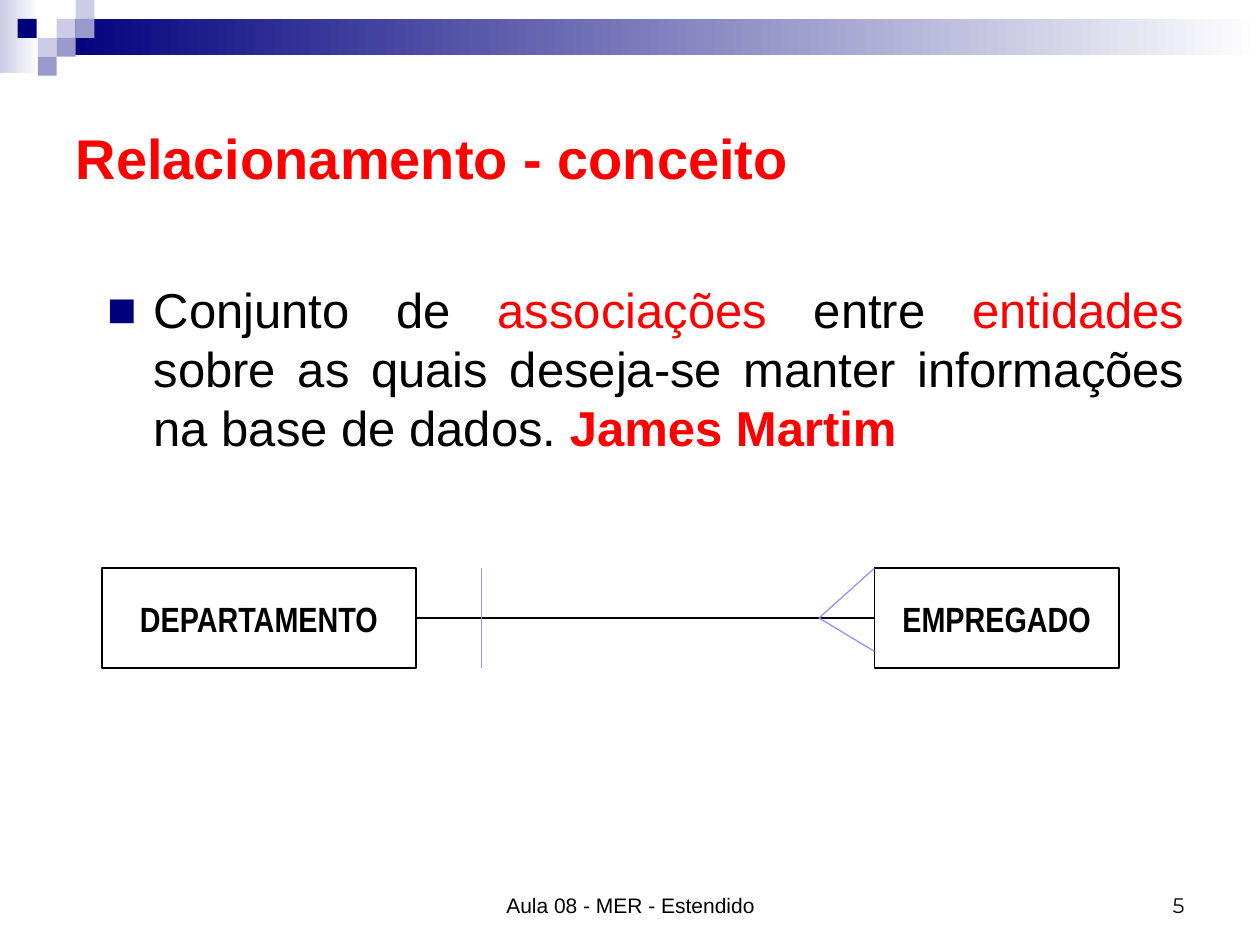
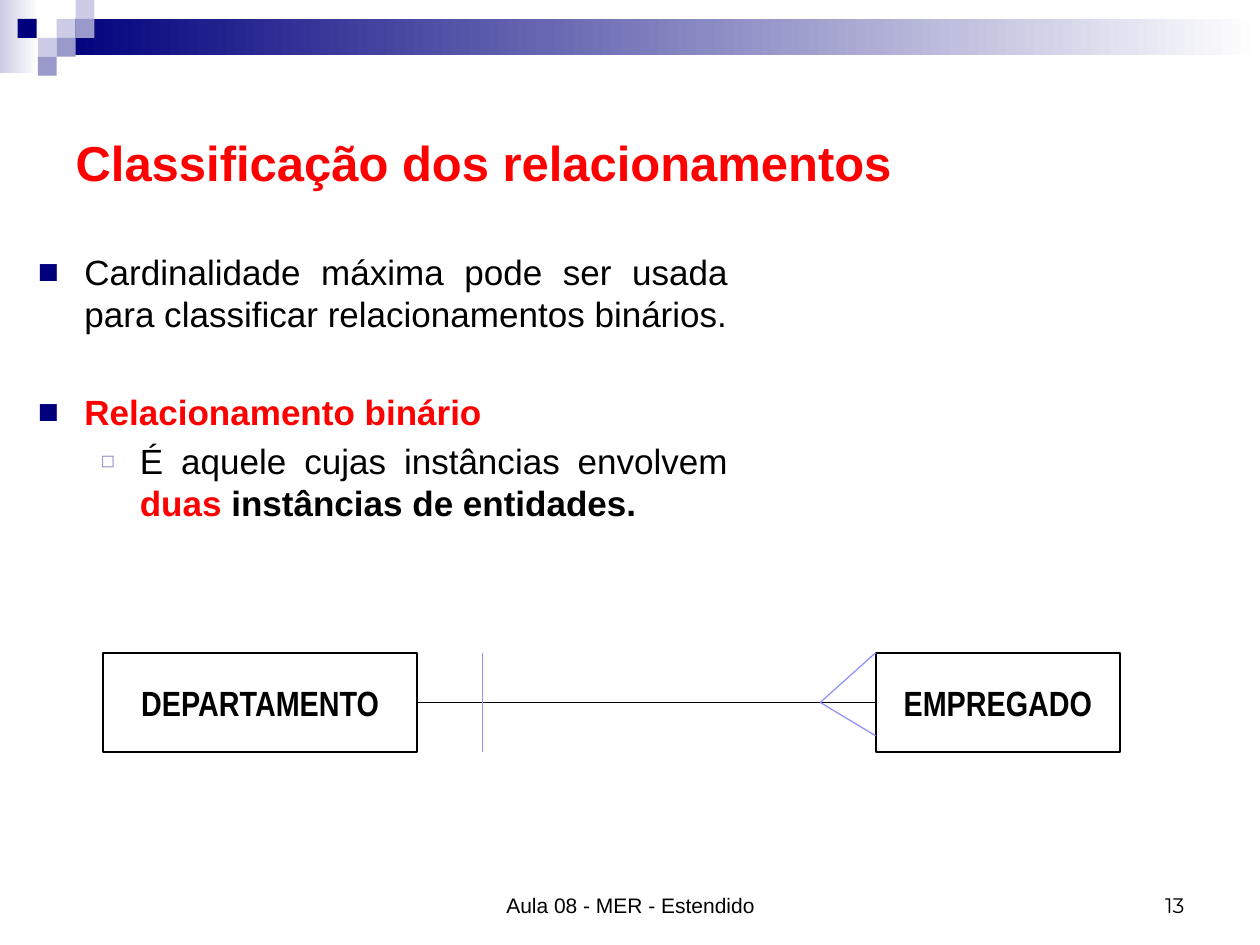
from lxml import etree
from pptx import Presentation
from pptx.dml.color import RGBColor
from pptx.enum.shapes import MSO_CONNECTOR, MSO_SHAPE
from pptx.enum.text import MSO_ANCHOR, MSO_AUTO_SIZE, PP_ALIGN
from pptx.oxml.ns import qn
from pptx.util import Inches, Pt

RECTANGLE = MSO_SHAPE.RECTANGLE
STRAIGHT = MSO_CONNECTOR.STRAIGHT
LEFT, CENTER, RIGHT, JUSTIFY = PP_ALIGN.LEFT, PP_ALIGN.CENTER, PP_ALIGN.RIGHT, PP_ALIGN.JUSTIFY
TOP, MIDDLE, BOTTOM = MSO_ANCHOR.TOP, MSO_ANCHOR.MIDDLE, MSO_ANCHOR.BOTTOM
NO_AUTO_SIZE = MSO_AUTO_SIZE.NONE

COLORS = {
    "navy": "00007D", "lavender": "9999CC", "pale": "CCCCE6", "white": "FFFFFF",
    "red": "FF0000", "black": "000000", "violet": "9393FC",
}
BULLETS = [
    {"char": "■", "color": "navy", "margin": 0.37, "indent": -0.37, "percent": 100},
    {"char": "◻", "color": "lavender", "margin": 0.81, "indent": -0.31, "percent": 65},
]
TILE = 0.15
TILES = [
    (0.45, 0.15, "pale"), (0.6, 0, "pale"), (0.6, 0.15, "lavender"),
    (0.3, 0.3, "pale"), (0.14, 0.15, "navy"), (0.45, 0.3, "lavender"),
    (0.3, 0.45, "lavender"),
]
BANDS = [((0, 0, 0.31, 0.58), "pale"), ((0.45, 0.15, 9.55, 0.29), "navy")]


def rgb(name):
    return RGBColor.from_string(COLORS[name])


def set_attributes(target, values):
    for name, value in values.items():
        setattr(target, name, value)


def place(shape, box):
    names = ("left", "top", "width", "height")
    set_attributes(shape, {name: Inches(value) for name, value in zip(names, box)})


def add_rectangle(shapes, box):
    shape = shapes.add_shape(RECTANGLE, *[Inches(value) for value in box])
    shape.shadow.inherit = False
    return shape


def add_run(paragraph, text, size, color="black", bold=False, font="Arial"):
    run = paragraph.add_run()
    run.text = text
    set_attributes(run.font, {"name": font, "size": Pt(size), "bold": bold})
    run.font.color.rgb = rgb(color)


def format_frame(shape, anchor):
    set_attributes(shape.text_frame, {
        "word_wrap": True, "auto_size": NO_AUTO_SIZE, "vertical_anchor": anchor,
        "margin_left": Inches(0.1), "margin_right": Inches(0.1),
        "margin_top": Inches(0.05), "margin_bottom": Inches(0.05),
    })
    return shape.text_frame


def write_line(shape, text, size, align, anchor, **style):
    paragraph = format_frame(shape, anchor).paragraphs[0]
    paragraph.alignment = align
    add_run(paragraph, text, size, **style)


def add_bullet(paragraph, level):
    bullet = BULLETS[level]
    properties = paragraph._p.get_or_add_pPr()
    properties.set("marL", str(Inches(bullet["margin"])))
    properties.set("indent", str(Inches(bullet["indent"])))
    color = etree.SubElement(properties, qn("a:buClr"))
    etree.SubElement(color, qn("a:srgbClr"), val=COLORS[bullet["color"]])
    etree.SubElement(properties, qn("a:buSzPct"), val=str(bullet["percent"] * 1000))
    etree.SubElement(properties, qn("a:buFont"), typeface="Arial")
    etree.SubElement(properties, qn("a:buChar"), char=bullet["char"])


def move_header_to_layout(slide, layout):
    group = slide.shapes.add_group_shape()
    for box, color in BANDS:
        band = add_rectangle(group.shapes, box)
        band.line.fill.background()
        band.fill.gradient()
        band.fill.gradient_angle = 0
        for stop, name, position in zip(band.fill.gradient_stops, (color, "white"), (0, 1)):
            stop.color.rgb = rgb(name)
            stop.position = position
    for left, top, color in TILES:
        tile = add_rectangle(group.shapes, (left, top, TILE, TILE))
        tile.line.fill.background()
        tile.fill.solid()
        tile.fill.fore_color.rgb = rgb(color)
    layout.shapes.element.insert(2, group._element)


def fill_title(slide, box, text, size):
    title = slide.shapes.title
    place(title, box)
    write_line(title, text, size, LEFT, MIDDLE, color="red", bold=True)


def fill_body(slide, box, size, items):
    body = slide.placeholders[1]
    place(body, box)
    frame = format_frame(body, TOP)
    for index, (level, space, runs) in enumerate(items):
        paragraph = frame.add_paragraph() if index else frame.paragraphs[0]
        set_attributes(paragraph, {
            "level": level, "alignment": JUSTIFY, "line_spacing": 1.0,
            "space_before": Pt(space), "space_after": Pt(0),
        })
        add_bullet(paragraph, level)
        for text, *style in runs:
            add_run(paragraph, text, size, *style)


def add_footer(slide, number):
    entries = [
        ((7.17, 6.83, 2.33, 0.5), number, RIGHT, "Montserrat"),
        ((3.42, 6.83, 3.17, 0.5), "Aula 08 - MER - Estendido", CENTER, "Arial"),
    ]
    for box, text, align, font in entries:
        shape = slide.shapes.add_textbox(*[Inches(value) for value in box])
        write_line(shape, text, 12, align, BOTTOM, font=font)


def add_line(slide, start, end, color, width):
    line = slide.shapes.add_connector(STRAIGHT, *[Inches(value) for value in (*start, *end)])
    line.line.color.rgb = rgb(color)
    line.line.width = Pt(width)
    etree.SubElement(line._element.spPr, qn("a:effectLst"))


def add_relationship(slide, box):
    left, top, width, height = box
    department_width, employee_width = 2.49, 1.94
    employee_left = left + width - employee_width
    middle = top + height / 2
    entities = [
        (left, department_width, "DEPARTAMENTO"),
        (employee_left, employee_width, "EMPREGADO"),
    ]
    for entity_left, entity_width, name in entities:
        entity = add_rectangle(slide.shapes, (entity_left, top, entity_width, height))
        entity.fill.background()
        entity.line.color.rgb = rgb("black")
        entity.line.width = Pt(1)
        write_line(entity, name, 20, CENTER, MIDDLE, bold=True, font="Arial Narrow")
        entity.text_frame.paragraphs[0].line_spacing = 1.01
    add_line(slide, (left + department_width, middle), (employee_left, middle), "black", 1)
    bar = left + 3.01
    add_line(slide, (bar, top), (bar, top + height), "violet", 0.75)
    for end in (top, top + 0.66):
        add_line(slide, (employee_left - 0.44, middle), (employee_left, end), "violet", 0.75)


def build_slide(presentation, content):
    slide = presentation.slides.add_slide(presentation.slide_layouts[1])
    fill_title(slide, *content["title"])
    fill_body(slide, *content["body"])
    add_relationship(slide, content["diagram"])
    add_footer(slide, content["number"])
    return slide


CONCEPT = {
    "title": ((0.5, 0.5, 9, 1.5), "Relacionamento - conceito", 32),
    "body": ((0.75, 2.17, 8.75, 1.74), 28, [
        (0, 0, [
            ("Conjunto de ",), ("associações", "red"), (" entre ",), ("entidades", "red"),
            (" sobre as quais deseja-se manter informações na base de dados. ",),
            ("James Martim", "red", True),
        ]),
    ]),
    "diagram": (0.81, 4.51, 8.07, 0.79),
    "number": "5",
}
CLASSIFICATION = {
    "title": ((0.5, 0.87, 7.18, 0.83), "Classificação dos relacionamentos", 28),
    "body": ((0.2, 1.94, 5.68, 4.25), 20, [
        (0, 0, [("Cardinalidade máxima pode ser usada para classificar "
                 "relacionamentos binários.",)]),
        (0, 32, [("Relacionamento binário", "red", True)]),
        (1, 4, [
            ("É aquele cujas instâncias envolvem ",), ("duas", "red", True),
            (" instâncias de entidades.", "black", True),
        ]),
    ]),
    "diagram": (0.82, 5.18, 8.07, 0.79),
    "number": "13",
}

presentation = Presentation()
presentation.slide_width = Inches(10)
presentation.slide_height = Inches(7.5)
slides = [build_slide(presentation, content) for content in (CONCEPT, CLASSIFICATION)]
move_header_to_layout(slides[0], presentation.slide_layouts[1])
presentation.save("out.pptx")
